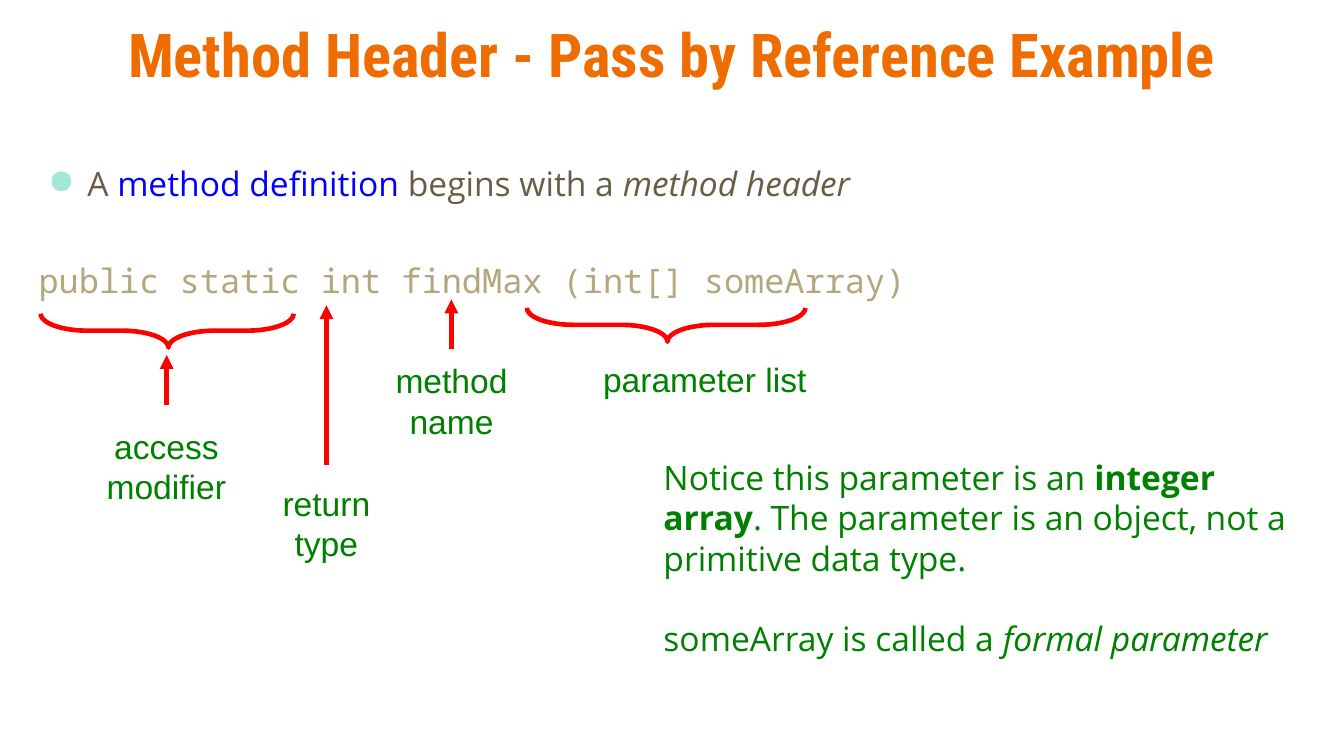
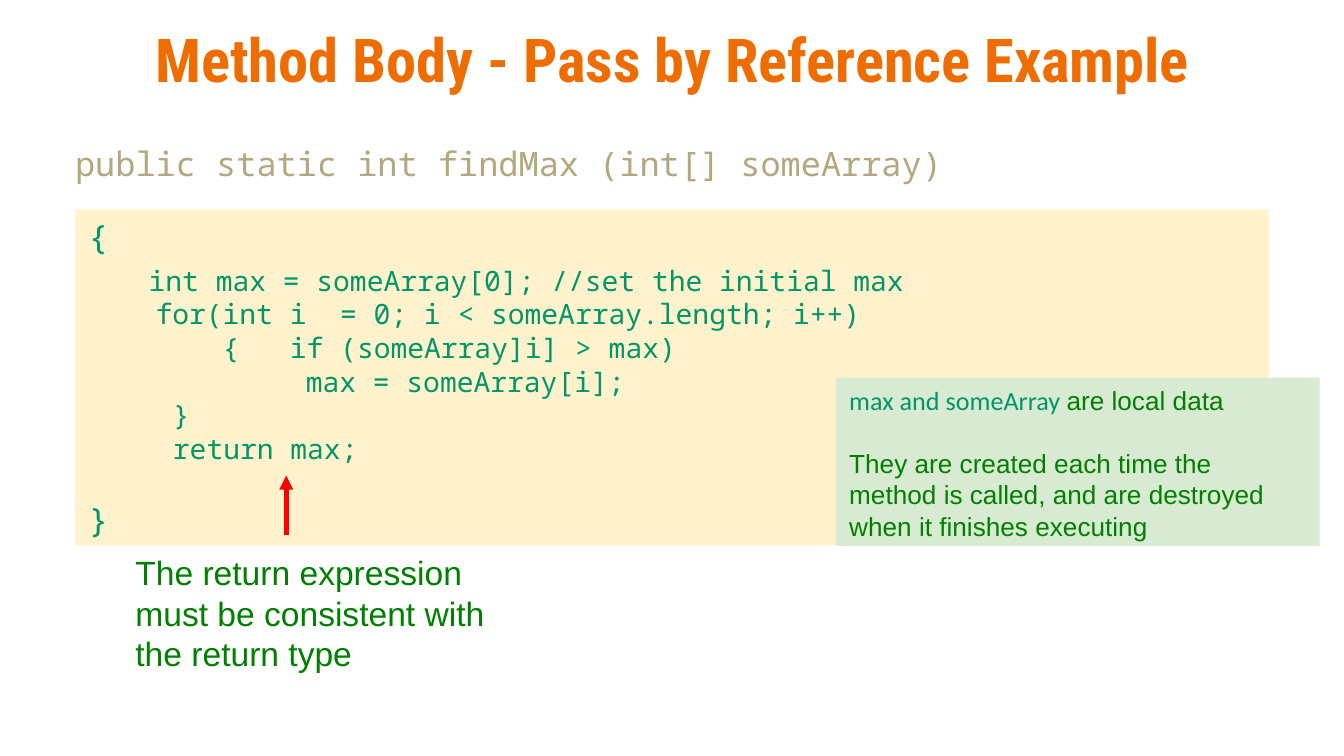
from dataclasses import dataclass
from typing import NamedTuple

from lxml.etree import SubElement
from pptx import Presentation
from pptx.dml.color import RGBColor
from pptx.enum.shapes import MSO_CONNECTOR, MSO_SHAPE
from pptx.enum.text import MSO_ANCHOR, MSO_AUTO_SIZE, PP_ALIGN
from pptx.oxml.ns import qn
from pptx.util import Cm, Pt

ORANGE, RED, GREEN, BLUE = "EF6C00", "FF0000", "008000", "0000FF"
BROWN, KHAKI, TEAL, MINT = "695D46", "B3A77D", "009668", "A1E8D9"
CREAM, SAGE = "FFF2CC", "D9EAD3"
LINE_WIDTH = Pt(2.5)
LINE_RATIO = 1.2

TITLE = dict(name="Roboto Condensed", size=32.4, color=ORANGE, bold=True)
LABEL = dict(name="Arial", size=18, color=GREEN)
NOTE = dict(name="Open Sans", size=18, color=GREEN)
BULLET = NOTE | dict(color=BROWN)
SIGNATURE = dict(name="Noto Sans Mono", size=18, color=KHAKI)
BRACKET = SIGNATURE | dict(color=TEAL)
CODE = BRACKET | dict(size=15)
LOCAL_NOTE = LABEL | dict(size=14)

HEADER_TEXT = "public static int findMax (int[] someArray)"


class Box(NamedTuple):
    """Left, top, width and height in centimetres."""
    left: float
    top: float
    width: float
    height: float


class Span(NamedTuple):
    text: str
    style: dict


@dataclass
class Line:
    """One paragraph; indents in centimetres, spacing in points."""
    spans: list[Span]
    align: PP_ALIGN = PP_ALIGN.LEFT
    before: float = 0
    after: float = 0
    margin: float = 0
    hanging: float = 0
    spacing: float | None = None
    bullet: str | None = None


@dataclass
class Block:
    box: Box
    lines: list[Line]
    fill: str | None = None


class Arrow(NamedTuple):
    """Upward arrow, in centimetres."""
    x: float
    start: float
    end: float


def line(text: str, style: dict, **layout) -> Line:
    return Line([Span(text, style)], **layout)


def centred(*texts: str) -> list[Line]:
    return [line(text, LABEL, align=PP_ALIGN.CENTER) for text in texts]


def rgb(value: str) -> RGBColor:
    return RGBColor.from_string(value)


def place(box: Box) -> list[Cm]:
    return [Cm(length) for length in box]


def write_span(paragraph, span: Span) -> None:
    run = paragraph.add_run()
    run.text = span.text
    for attribute, value in span.style.items():
        if attribute == "color":
            run.font.color.rgb = rgb(value)
        else:
            setattr(run.font, attribute, Pt(value) if attribute == "size" else value)


def write_line(paragraph, content: Line) -> None:
    size = max(span.style["size"] for span in content.spans)
    layout = dict(
        alignment=content.align,
        space_before=Pt(content.before),
        space_after=Pt(content.after),
        line_spacing=content.spacing or Pt(size * LINE_RATIO),
    )
    for attribute, value in layout.items():
        setattr(paragraph, attribute, value)
    properties = paragraph._p.get_or_add_pPr()
    properties.set("marL", str(Cm(content.margin)))
    properties.set("indent", str(-Cm(content.hanging)))
    if content.bullet:
        bullet_color = SubElement(properties, qn("a:buClr"))
        SubElement(bullet_color, qn("a:srgbClr"), val=MINT)
        SubElement(properties, qn("a:buChar"), char=content.bullet)
    for span in content.spans:
        write_span(paragraph, span)


def write_lines(frame, lines: list[Line], anchor=MSO_ANCHOR.TOP, bottom: float = 0.13) -> None:
    settings = dict(
        word_wrap=True, auto_size=MSO_AUTO_SIZE.NONE, vertical_anchor=anchor,
        margin_left=Cm(0.25), margin_right=Cm(0.25),
        margin_top=Cm(0.13), margin_bottom=Cm(bottom),
    )
    for attribute, value in settings.items():
        setattr(frame, attribute, value)
    for index, content in enumerate(lines):
        paragraph = frame.add_paragraph() if index else frame.paragraphs[0]
        write_line(paragraph, content)


def add_titled_slide(deck, text: str, box: Box, bottom: float = 0.13):
    slide = deck.slides.add_slide(deck.slide_layouts[5])
    title = slide.shapes.title
    title.left, title.top, title.width, title.height = place(box)
    write_lines(title.text_frame, [line(text, TITLE, align=PP_ALIGN.CENTER)],
                MSO_ANCHOR.MIDDLE, bottom)
    return slide


def add_block(slide, block: Block) -> None:
    if block.fill:
        panel = slide.shapes.add_shape(MSO_SHAPE.RECTANGLE, *place(block.box))
        panel.shadow.inherit = False
        panel.fill.solid()
        panel.fill.fore_color.rgb = rgb(block.fill)
        panel.line.fill.background()
    else:
        panel = slide.shapes.add_textbox(*place(block.box))
    write_lines(panel.text_frame, block.lines)


def add_arrow(slide, arrow: Arrow) -> None:
    x = Cm(arrow.x)
    connector = slide.shapes.add_connector(
        MSO_CONNECTOR.STRAIGHT, x, Cm(arrow.start), x, Cm(arrow.end))
    connector.line.color.rgb = rgb(RED)
    connector.line.width = LINE_WIDTH
    SubElement(connector.line._get_or_add_ln(), qn("a:tailEnd"), type="triangle")
    SubElement(connector._element.spPr, qn("a:effectLst"))


def add_brace(slide, box: Box) -> None:
    """Draw a brace turned to point down; the box is given before turning."""
    brace = slide.shapes.add_shape(MSO_SHAPE.LEFT_BRACE, *place(box))
    brace.rotation = 270
    brace.adjustments[0], brace.adjustments[1] = 1.375, 0.505
    brace.shadow.inherit = False
    brace.fill.background()
    brace.line.color.rgb = rgb(RED)
    brace.line.width = LINE_WIDTH


def build_header_slide(deck) -> None:
    slide = add_titled_slide(deck, "Method Header - Pass by Reference Example",
                             Box(0.46, 0.51, 24.46, 2.34), bottom=1.47)
    definition = Line([
        Span("A ", BULLET),
        Span("method definition", BULLET | dict(color=BLUE)),
        Span(" begins with a ", BULLET),
        Span("method header", BULLET | dict(italic=True)),
    ], margin=0.97, hanging=0.74, spacing=1.15, after=12, bullet="●")
    array_note = Line([
        Span("Notice this parameter is an ", NOTE),
        Span("integer array", NOTE | dict(bold=True)),
        Span(". The parameter is an object, not a primitive data type.", NOTE),
    ])
    formal_note = Line([
        Span("someArray is called a ", NOTE),
        Span("formal parameter", NOTE | dict(italic=True)),
    ], before=21.6)
    for block in (
        Block(Box(0.43, 2.84, 24.33, 1.73), [definition]),
        Block(Box(0.48, 4.78, 23.8, 0.84), [line(HEADER_TEXT, SIGNATURE)]),
        Block(Box(7.14, 6.68, 2.79, 1.57), centred("method", "name")),
        Block(Box(5, 8.99, 2.34, 1.85), centred("return", "type")),
        Block(Box(10.46, 6.65, 5.72, 0.76), centred("parameter list")),
        Block(Box(12.29, 8.51, 12.47, 4.09), [array_note, formal_note]),
        Block(Box(1.75, 7.92, 2.79, 1.57), centred("access modifier")),
    ):
        add_block(slide, block)
    for arrow in (Arrow(8.53, 6.6, 5.66), Arrow(6.17, 8.79, 5.77), Arrow(3.15, 7.65, 6.71)):
        add_arrow(slide, arrow)
    for box in (Box(12.27, 3.51, 0.64, 5.26), Box(2.84, 3.86, 0.64, 4.78)):
        add_brace(slide, box)


def build_body_slide(deck) -> None:
    slide = add_titled_slide(deck, "Method Body - Pass by Reference Example",
                             Box(0.48, 0.43, 24.46, 1.35))
    method_body = [
        line("{", BRACKET),
        line("int max = someArray[0]; //set the initial max", CODE, margin=1.14, before=3.6),
        line("for(int i  = 0; i < someArray.length; i++)", CODE, margin=1.27),
        line("{\tif (someArray]i] > max)", CODE, margin=3.81, hanging=1.27),
        line("max = someArray[i];", CODE, margin=4.11),
        line("}", CODE, margin=1.6),
        line("return max;", CODE, margin=1.6),
        line("}", BRACKET, before=18),
    ]
    return_note = [line(text, LABEL) for text in (
        "The return expression", "must be consistent with", "the return type")]
    local_data = [
        Line([Span("max and someArray ", LOCAL_NOTE | dict(name="Calibri", color=TEAL)),
              Span("are local data", LOCAL_NOTE)]),
        line("They are created each time the method is called, "
             "and are destroyed when it finishes executing", LOCAL_NOTE, before=16.8),
    ]
    for block in (
        Block(Box(1.17, 2.57, 23.57, 0.84), [line(HEADER_TEXT, SIGNATURE)]),
        Block(Box(1.42, 3.96, 22.56, 6.35), method_body, CREAM),
        Block(Box(2.31, 10.31, 7.75, 2.46), return_note),
        Block(Box(15.8, 7.14, 9.14, 3.18), local_data, SAGE),
    ):
        add_block(slide, block)
    add_arrow(slide, Arrow(5.41, 10.11, 8.99))


def main() -> None:
    deck = Presentation()
    deck.slide_width, deck.slide_height = Cm(25.4), Cm(14.29)
    build_header_slide(deck)
    build_body_slide(deck)
    deck.save("out.pptx")


if __name__ == "__main__":
    main()
